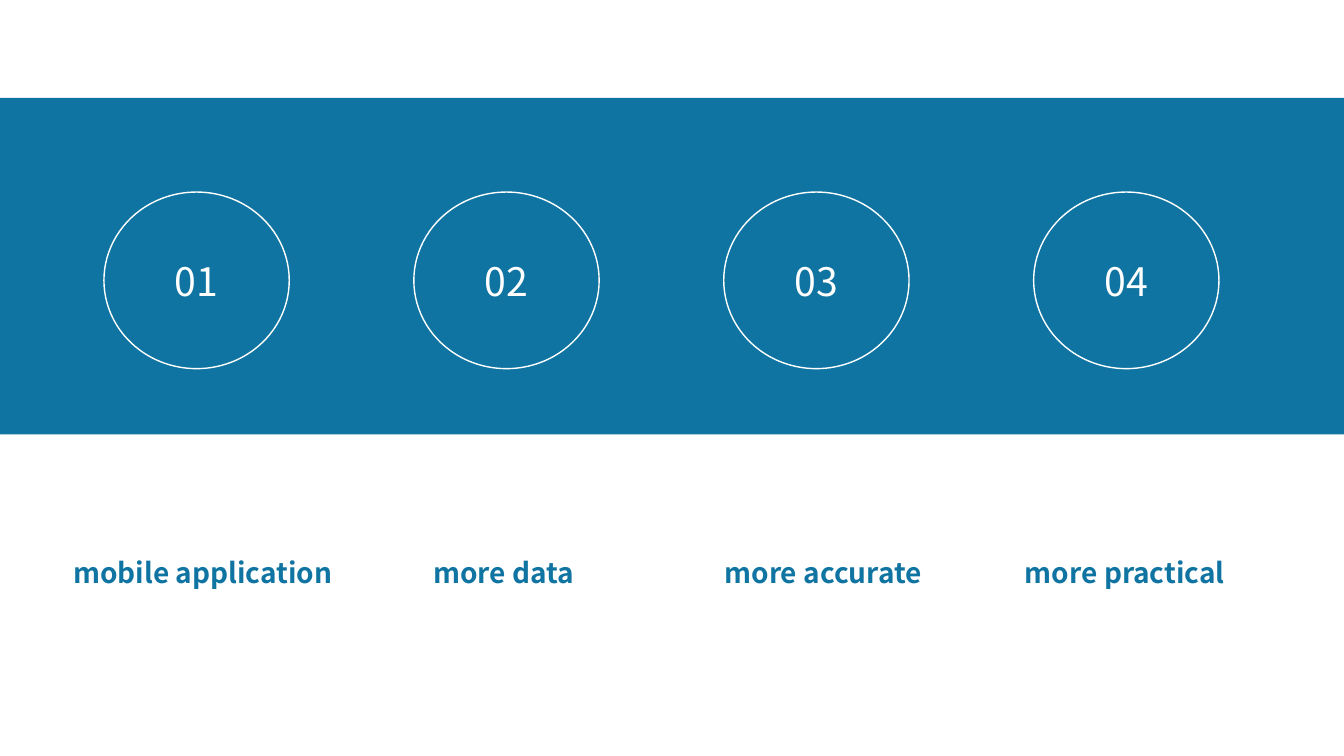
from dataclasses import dataclass

from pptx import Presentation
from pptx.dml.color import RGBColor as Rgb
from pptx.enum.shapes import MSO_SHAPE as Kind
from pptx.enum.text import MSO_ANCHOR as Anchor, PP_ALIGN as Align
from pptx.util import Cm, Pt

# Label, left edge and width of its box in cm
POINTS = [
    ("mobile application", 1.6, 8.03),
    ("more data", 10.67, 4.19),
    ("more accurate", 18.01, 6.99),
    ("more practical", 25.58, 6.58),
]


@dataclass(frozen=True)
class Theme:
    font: str = "Noto Sans CJK SC"
    blue: Rgb = Rgb(0x0F, 0x74, 0xA1)
    white: Rgb = Rgb(0xFF, 0xFF, 0xFF)
    number: int = 28
    label: int = 20
    line: int = 1


THEME = Theme()
WIDTH, HEIGHT = 33.87, 19.05
BAND_TOP, BAND_H = 2.47, 8.48
RING_LEFT, RING_TOP, RING_W, RING_H = 2.62, 4.84, 4.67, 4.45
RING_STEP = 7.81
LABEL_TOP, LABEL_H = 13.87, 1.12


def write(shape, text, size, color, bold=False, align=Align.LEFT,
          anchor=Anchor.TOP):
    frame = shape.text_frame
    frame.word_wrap = True
    frame.vertical_anchor = anchor
    para = frame.paragraphs[0]
    para.alignment = align
    run = para.add_run()
    run.text = text
    font = run.font
    font.name, font.size, font.bold = THEME.font, Pt(size), bold
    font.color.rgb = color


def add_band(slide):
    band = slide.shapes.add_shape(
        Kind.RECTANGLE, 0, Cm(BAND_TOP), Cm(WIDTH), Cm(BAND_H))
    band.shadow.inherit = False
    band.fill.solid()
    band.fill.fore_color.rgb = THEME.blue
    band.line.fill.background()


def add_ring(slide, index):
    ring = slide.shapes.add_shape(
        Kind.OVAL, Cm(RING_LEFT + index * RING_STEP), Cm(RING_TOP),
        Cm(RING_W), Cm(RING_H))
    ring.shadow.inherit = False
    ring.fill.background()
    ring.line.color.rgb = THEME.white
    ring.line.width = Pt(THEME.line)
    write(ring, f"{index + 1:02}", THEME.number, THEME.white,
          align=Align.CENTER, anchor=Anchor.MIDDLE)


def add_label(slide, text, left, width):
    box = slide.shapes.add_textbox(
        Cm(left), Cm(LABEL_TOP), Cm(width), Cm(LABEL_H))
    write(box, text, THEME.label, THEME.blue, bold=True)


def main():
    deck = Presentation()
    deck.slide_width, deck.slide_height = Cm(WIDTH), Cm(HEIGHT)
    slide = deck.slides.add_slide(deck.slide_layouts[6])
    add_band(slide)
    for index, (text, left, width) in enumerate(POINTS):
        add_ring(slide, index)
        add_label(slide, text, left, width)
    deck.save("out.pptx")


if __name__ == "__main__":
    main()
